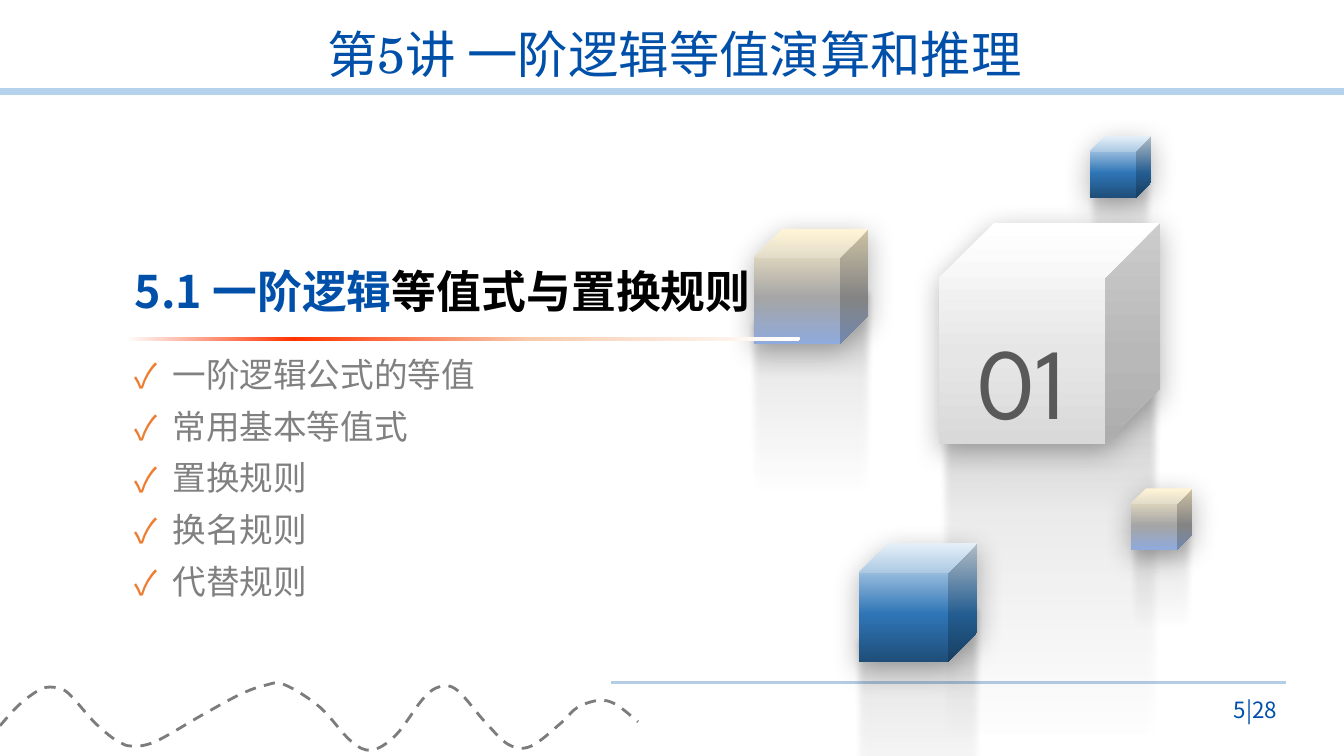
from lxml import etree
from pptx import Presentation
from pptx.dml.color import RGBColor
from pptx.enum.dml import MSO_LINE
from pptx.enum.shapes import MSO_CONNECTOR, MSO_SHAPE
from pptx.enum.text import MSO_ANCHOR, PP_ALIGN
from pptx.oxml.ns import qn
from pptx.util import Cm, Pt

CUBE, ROUNDED = MSO_SHAPE.CUBE, MSO_SHAPE.ROUNDED_RECTANGLE
STRAIGHT, DASH = MSO_CONNECTOR.STRAIGHT, MSO_LINE.DASH
MIDDLE, TOP, BOTTOM = MSO_ANCHOR.MIDDLE, MSO_ANCHOR.TOP, MSO_ANCHOR.BOTTOM
LEFT, CENTER, RIGHT = PP_ALIGN.LEFT, PP_ALIGN.CENTER, PP_ALIGN.RIGHT

SANS, SERIF, NUMERAL = "Noto Sans CJK SC", "TeX Gyre Schola", "League Spartan"
COLORS = {
    "blue": "0050AA", "black": "000000", "item": "808080", "check": "ED7D31",
    "numeral": "595959", "header_rule": "B5D2EC", "footer_rule": "B4CCE6",
    "wave": "7C7C7C",
}
# Gradient stops: position %, colour, opacity %
BLUE_CUBE = [(1, "DEEBF7", 100), (60, "2E75B6", 100), (100, "1F4E79", 100)]
SAND_CUBE = [(1, "FFF2CC", 100), (60, "A5A5A5", 100), (100, "8FAADC", 100)]
WHITE_CUBE = [(0, "FFFFFF", 100), (60, "E7E6E6", 100), (100, "D9D9D9", 100)]
REFLECTION = [(30, "000000", 0), (50, "000000", 4), (70, "000000", 8), (100, "262626", 30)]
UNDERLINE = [(0, "FFFFFF", 100), (25, "FF3300", 100), (60, "F8CBAD", 100), (99, "FFFFFF", 100)]

# Left, top, size (cm), gradient, width of the reflection relative to the cube, numeral
CUBES = [
    (27.46, 3.43, 1.55, BLUE_CUBE, 1.11, ""),
    (23.67, 5.61, 5.57, WHITE_CUBE, 1.01, "01"),
    (21.64, 13.69, 2.99, BLUE_CUBE, 1.11, ""),
    (28.5, 12.31, 1.55, SAND_CUBE, 1.11, ""),
    (19, 5.77, 2.89, SAND_CUBE, 1.11, ""),
]
ITEMS = ["一阶逻辑公式的等值", "常用基本等值式", "置换规则", "换名规则", "代替规则"]
WAVE_KNOTS = [
    (0, 18.29), (0.43, 17.81), (0.84, 17.48), (1.17, 17.32), (1.57, 17.37), (1.85, 17.6),
    (2.34, 18.16), (2.74, 18.52), (3, 18.69), (3.3, 18.8), (3.91, 18.69), (5.11, 18.01),
    (6.05, 17.5), (6.68, 17.27), (7.16, 17.25), (8.05, 17.81), (8.84, 18.67), (9.37, 18.9),
    (9.98, 18.52), (10.67, 17.6), (11.1, 17.3), (11.53, 17.4), (12.24, 18.21),
    (12.83, 18.77), (13.39, 18.8), (14.15, 18.21), (14.55, 17.83), (15.09, 17.65),
    (15.52, 17.75), (16.08, 18.19),
]


def rgb(name):
    return RGBColor.from_string(COLORS[name])


def add_child(parent, tag, **attributes):
    return etree.SubElement(parent, qn(tag), {key: str(value) for key, value in attributes.items()})


def set_gradient(shape, stops, angle):
    gradient = etree.Element(qn("a:gradFill"), rotWithShape="1")
    stop_list = add_child(gradient, "a:gsLst")
    for position, color, opacity in stops:
        stop = add_child(stop_list, "a:gs", pos=position * 1000)
        color_node = add_child(stop, "a:srgbClr", val=color)
        if opacity < 100:
            add_child(color_node, "a:alpha", val=opacity * 1000)
    add_child(gradient, "a:lin", ang=angle * 60000, scaled=0)
    shape._element.spPr.find(qn("a:prstGeom")).addnext(gradient)


def add_gradient_shape(shapes, kind, box, stops, angle):
    shape = shapes.add_shape(kind, *map(Cm, box))
    shape.shadow.inherit = False
    shape.line.fill.background()
    set_gradient(shape, stops, angle)
    return shape


def style_paragraph(paragraph, font, size, color, align=LEFT, bold=False):
    paragraph.alignment = align
    paragraph.font.name = font
    paragraph.font.size = Pt(size)
    paragraph.font.bold = bold
    paragraph.font.color.rgb = rgb(color)
    add_child(paragraph.font._element, "a:ea", typeface=SANS)


def add_text(slide, box, text, anchor, wrap=True, **style):
    frame = slide.shapes.add_textbox(*map(Cm, box)).text_frame
    frame.word_wrap = wrap
    frame.vertical_anchor = anchor
    paragraph = frame.paragraphs[0]
    paragraph.text = text
    style_paragraph(paragraph, **style)
    return paragraph


def add_rule(slide, left, right, y, color, width):
    line = slide.shapes.add_connector(STRAIGHT, Cm(left), Cm(y), Cm(right), Cm(y))
    line.line.color.rgb = rgb(color)
    line.line.width = Pt(width)
    add_child(line._element.spPr, "a:effectLst")


def smooth(freeform):
    """Turn the straight segments into Bézier curves through the same knots."""
    geometry = freeform._element.spPr.find(qn("a:custGeom"))
    knots = [(int(point.get("x")), int(point.get("y"))) for point in geometry.iter(qn("a:pt"))]
    padded = [knots[0], *knots, knots[-1]]
    segments = list(geometry.iter(qn("a:lnTo")))
    for segment, a, b, c, d in zip(segments, padded, padded[1:], padded[2:], padded[3:]):
        curve = etree.Element(qn("a:cubicBezTo"))
        leaving = [q + (r - p) / 6 for p, q, r in zip(a, b, c)]
        arriving = [r - (s - q) / 6 for q, r, s in zip(b, c, d)]
        for x, y in (leaving, arriving, c):
            add_child(curve, "a:pt", x=round(x), y=round(y))
        segment.getparent().replace(segment, curve)


def add_wave(slide):
    start, *others = [(Cm(x), Cm(y)) for x, y in WAVE_KNOTS]
    builder = slide.shapes.build_freeform(*start)
    builder.add_line_segments(others, close=False)
    wave = builder.convert_to_shape()
    smooth(wave)
    wave.shadow.inherit = False
    wave.fill.background()
    wave.line.color.rgb = rgb("wave")
    wave.line.width = Pt(2)
    wave.line.dash_style = DASH


def add_cube(slide, left, top, size, stops, reflection_ratio, numeral):
    """Place a cube with its fading reflection below it."""
    shapes = slide.shapes.add_group_shape().shapes
    width = size * reflection_ratio
    box = (left - (width - size) / 2, top + size / 2, width, size * 2.71)
    reflection = add_gradient_shape(shapes, CUBE, box, REFLECTION, 90)
    reflection.rotation = 180
    effects = reflection._element.spPr.find(qn("a:effectLst"))
    add_child(effects, "a:softEdge", rad=Pt(5))

    cube = add_gradient_shape(shapes, CUBE, (left, top, size, size), stops, 90)
    effects = cube._element.spPr.find(qn("a:effectLst"))
    shadow = add_child(effects, "a:outerShdw", blurRad=Pt(20), dist=Pt(5),
                       dir=90 * 60000, rotWithShape=0)
    add_child(add_child(shadow, "a:srgbClr", val=COLORS["black"]), "a:alpha", val=30000)
    if numeral:
        paragraph = cube.text_frame.paragraphs[0]
        paragraph.text = numeral
        paragraph.line_spacing = 1.3
        style_paragraph(paragraph, NUMERAL, 72, "numeral", CENTER)


def add_heading(slide, left, top, width):
    paragraph = add_text(slide, (left, top, width, 1.63), "5.1 一阶逻辑", BOTTOM, wrap=False,
                         font=SANS, size=32, color="blue", bold=True)
    ending = paragraph.add_run()
    ending.text = "等值式与置换规则"
    ending.font.color.rgb = rgb("black")
    underline = add_gradient_shape(slide.shapes, ROUNDED, (left, top + 1.99, 17, 0.1), UNDERLINE, 0)
    underline.adjustments[0] = 0.5


def add_checklist(slide, left, top, width, pitch=1.3):
    for row, item in enumerate(ITEMS):
        paragraph = add_text(slide, (left, top + row * pitch, width, 1.28), item, TOP,
                             font=SANS, size=24, color="item")
        properties = paragraph._p.get_or_add_pPr()
        properties.set("marL", str(Cm(0.95)))
        properties.set("indent", str(Cm(-0.95)))
        bullet_color = etree.Element(qn("a:buClr"))
        add_child(bullet_color, "a:srgbClr", val=COLORS["check"])
        bullet_font = etree.Element(qn("a:buFont"), typeface=SANS)
        bullet = etree.Element(qn("a:buChar"), char="✓")
        for position, node in enumerate((bullet_color, bullet_font, bullet)):
            properties.insert(position, node)


def add_frame(slide, width):
    """Add the header and footer rules and the wave."""
    add_rule(slide, 0, width, 2.31, "header_rule", 5)
    add_rule(slide, 15.4, 32.4, 17.2, "footer_rule", 1.75)
    add_wave(slide)


def main():
    presentation = Presentation()
    presentation.slide_width, presentation.slide_height = Cm(33.87), Cm(19.05)
    slide = presentation.slides.add_slide(presentation.slide_layouts[6])
    add_frame(slide, 33.87)
    for cube in CUBES:
        add_cube(slide, *cube)
    add_heading(slide, 3.15, 6.5, 16.56)
    add_checklist(slide, 3.15, 8.8, 12)
    title = add_text(slide, (4, 0.62, 26, 1.65), "第5讲 一阶逻辑等值演算和推理", MIDDLE,
                     font=SERIF, size=36, color="blue", align=CENTER)
    title.line_spacing = 0.9
    add_text(slide, (29.76, 17.37, 2.67, 1.02), "5|28", MIDDLE,
             font=SANS, size=16, color="blue", align=RIGHT)
    presentation.save("out.pptx")


if __name__ == "__main__":
    main()
